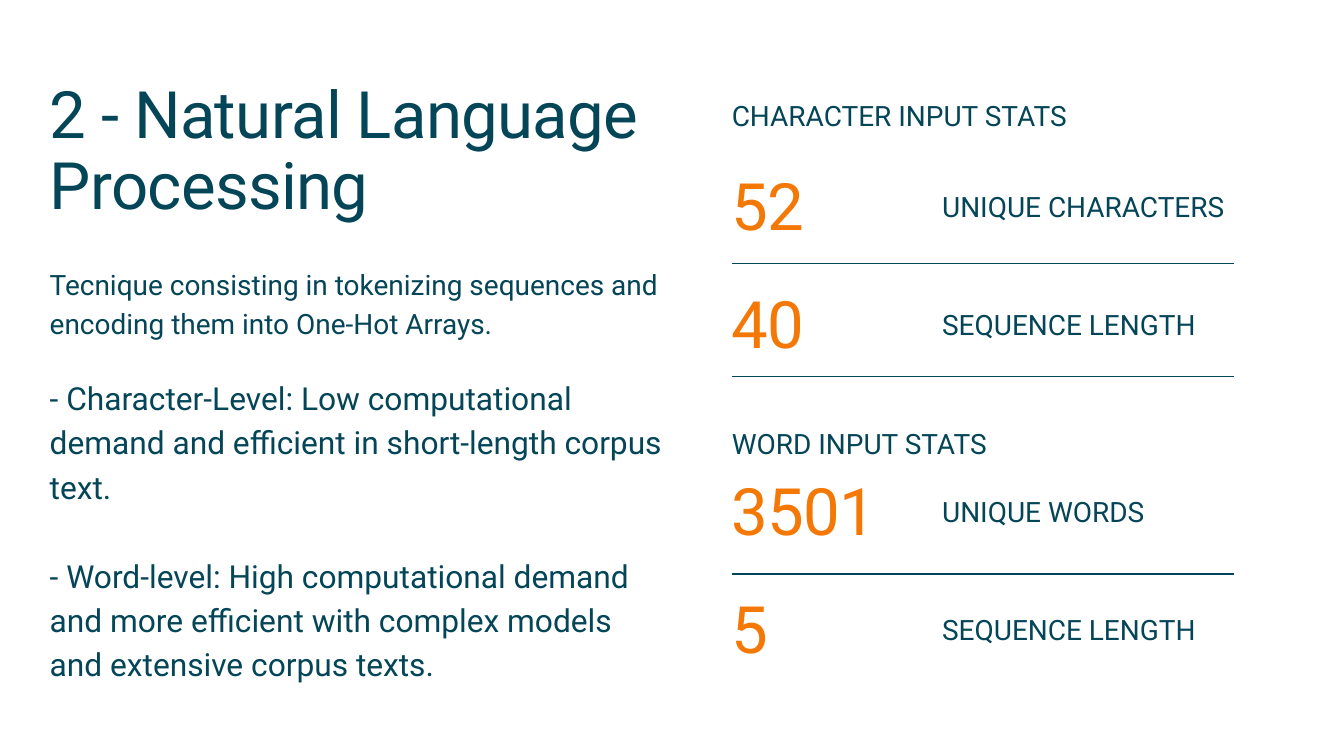
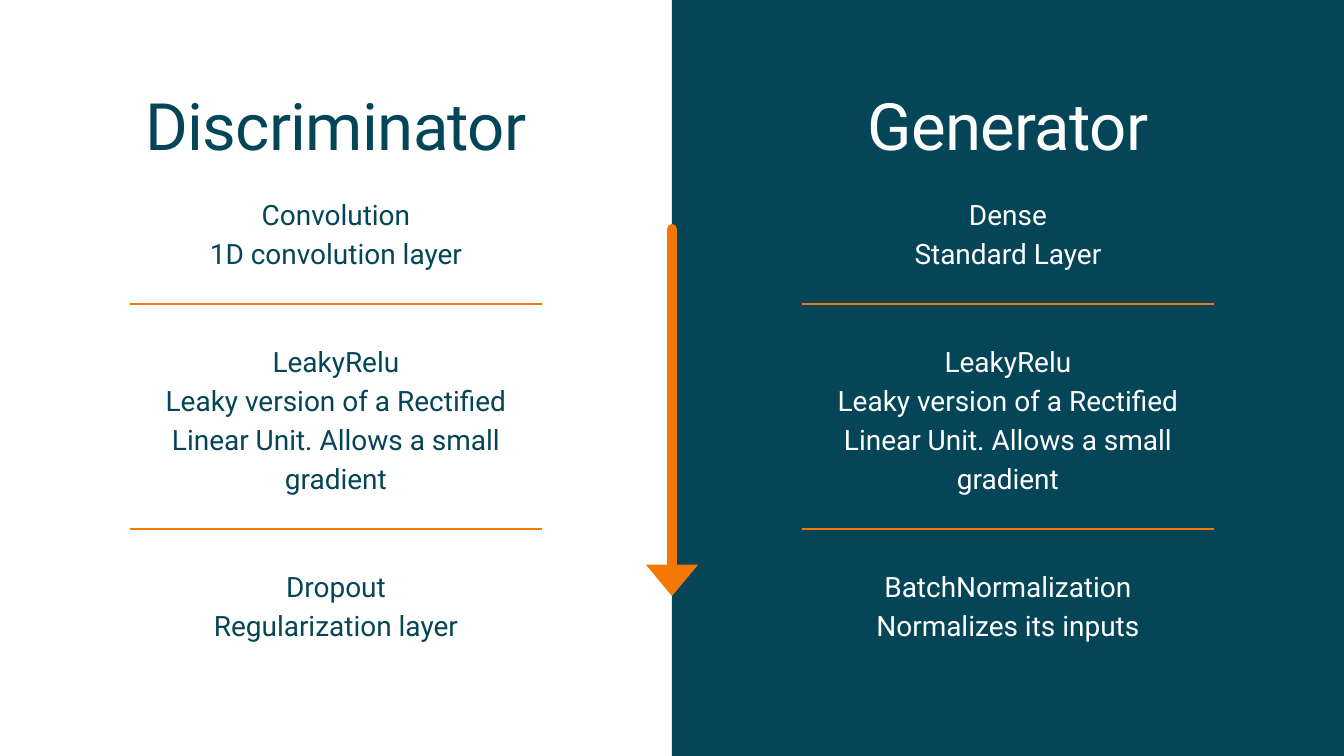
from collections import namedtuple

from lxml import etree
from pptx import Presentation
from pptx import util as u
from pptx.dml.color import RGBColor
from pptx.enum import shapes, text
from pptx.oxml.ns import qn

# Shared look: a grid of 20 columns by 11.25 rows, three colours, one font
COLUMNS, ROWS = 20, 11.25
CELL = u.Inches(1)
TEAL, ORANGE, WHITE = "044557", "F47805", "FFFFFF"
FONT = "Roboto"

Box = namedtuple("Box", "left top width height")
Style = namedtuple("Style", "size leading tracking gap", defaults=(0, 0))
TITLE = Style(70, 77, tracking=-70)
BODY = Style(30, 42)
LABEL = Style(30, 36)
POINTS = Style(34, 47.6, gap=47.6)


def grid(*cells):
    return [round(cell * CELL) for cell in cells]


def rgb(colour):
    return RGBColor.from_string(colour)


def assign(target, values):
    for name, value in values.items():
        setattr(target, name, value)


def write(slide, box, lines, style, colour=TEAL, align=text.PP_ALIGN.LEFT):
    frame = slide.shapes.add_textbox(*grid(*box)).text_frame
    assign(frame, dict(word_wrap=True, margin_left=0, margin_right=0,
                       margin_top=0, margin_bottom=0,
                       auto_size=text.MSO_AUTO_SIZE.SHAPE_TO_FIT_TEXT))
    for number, line in enumerate(lines):
        paragraph = frame.add_paragraph() if number else frame.paragraphs[0]
        assign(paragraph, dict(alignment=align, line_spacing=u.Pt(style.leading),
                               space_before=u.Pt(style.gap if number else 0)))
        run = paragraph.add_run()
        run.text = line
        assign(run.font, dict(name=FONT, size=u.Pt(style.size)))
        run.font.color.rgb = rgb(colour)
        if style.tracking:
            run._r.get_or_add_rPr().set("spc", str(style.tracking))


def rule(slide, start, end, colour, weight):
    line = slide.shapes.add_connector(shapes.MSO_CONNECTOR.STRAIGHT,
                                      *grid(*start, *end))
    line.line.color.rgb = rgb(colour)
    line.line.width = u.Pt(weight)
    etree.SubElement(line._element.spPr, qn("a:effectLst"))
    return line


def arrow(slide, start, end, colour, weight):
    outline = rule(slide, start, end, colour, weight).line._get_or_add_ln()
    outline.set("cap", "rnd")
    etree.SubElement(outline, qn("a:round"))
    etree.SubElement(outline, qn("a:tailEnd"), type="triangle", w="lg", len="med")


def explanation(slide, box, title, intro, points):
    """Title, short introduction and spaced points, stacked in one column."""
    parts = ((0, 2.19, [title], TITLE), (2.71, 1.15, [intro], BODY),
             (4.36, 4.6, points, POINTS))
    for offset, height, lines, style in parts:
        write(slide, Box(box.left, box.top + offset, box.width, height), lines, style)


def stats(slide, box, heading, first_row, figures, rules):
    """Heading, then rows of a large figure and its label, with rules."""
    pitch, label_column = 1.76, 3.13
    write(slide, Box(box.left, box.top, box.width, 0.52), [heading], LABEL)
    for number, (figure, label) in enumerate(figures):
        top = box.top + first_row + number * pitch
        write(slide, Box(box.left, top, 2.4, 1.12), [figure], TITLE, ORANGE)
        write(slide, Box(box.left + label_column, top + 0.27,
                         box.width - label_column, 0.52), [label], LABEL)
    for offset in rules:
        y = box.top + offset
        rule(slide, (box.left, y), (box.left + box.width, y), TEAL, 1.5)


def network(slide, box, title, layers, colour):
    """One half of the slide: centred title over layers parted by rules."""
    left, width = box.left + 1.93, box.width - 2 * 1.93
    centre = text.PP_ALIGN.CENTER
    write(slide, Box(left, box.top + 1.36, width, 1.11), [title], TITLE, colour, centre)
    top, margin = box.top + 2.85, 0.52
    for number, (lines, height) in enumerate(zip(layers, (1.15, 2.31, 1.15))):
        if number:
            rule(slide, (left, top - margin), (left + width, top - margin), ORANGE, 2)
        write(slide, Box(left, top, width, height), lines, BODY, colour, centre)
        top += height + 2 * margin


def language_slide(slide):
    explanation(
        slide, Box(0.74, 1.18, 9.26, 8.96), "2 - Natural Language Processing",
        "Tecnique consisting in tokenizing sequences and encoding them into "
        "One-Hot Arrays.",
        ["- Character-Level: Low computational demand and efficient in "
         "short-length corpus text.",
         "- Word-level: High computational demand and more efficient with "
         "complex models and extensive corpus texts."])
    stats(slide, Box(10.89, 1.47, 7.47, 4.13), "CHARACTER INPUT STATS", 1.08,
          [("52", "UNIQUE CHARACTERS"), ("40", "SEQUENCE LENGTH")], (2.45, 4.13))
    stats(slide, Box(10.89, 6.34, 7.47, 3.63), "WORD INPUT STATS", 0.75,
          [("3501", "UNIQUE WORDS"), ("5", "SEQUENCE LENGTH")], (2.2,))


def networks_slide(slide):
    half = COLUMNS / 2
    white_half, teal_half = (Box(left, 0, half, ROWS) for left in (0, half))

    # Teal right half
    panel = slide.shapes.add_shape(shapes.MSO_SHAPE.RECTANGLE, *grid(*teal_half))
    panel.shadow.inherit = False
    panel.fill.solid()
    panel.fill.fore_color.rgb = rgb(TEAL)
    panel.line.fill.background()

    # Layers of both networks
    leaky = ["LeakyRelu",
             "Leaky version of a Rectified Linear Unit. Allows a small gradient"]
    network(slide, white_half, "Discriminator",
            [["Convolution", "1D convolution layer"], leaky,
             ["Dropout", "Regularization layer"]], TEAL)
    network(slide, teal_half, "Generator",
            [["Dense", "Standard Layer"], leaky,
             ["BatchNormalization", "Normalizes its inputs"]], WHITE)

    # Order of the layers
    arrow(slide, (half, 3.41), (half, 8.87), ORANGE, 11.25)


deck = Presentation()
deck.slide_width, deck.slide_height = grid(COLUMNS, ROWS)
blank = deck.slide_layouts[6]
for build in (language_slide, networks_slide):
    page = deck.slides.add_slide(blank)
    page.background.fill.solid()
    page.background.fill.fore_color.rgb = rgb(WHITE)
    build(page)
deck.save("out.pptx")
